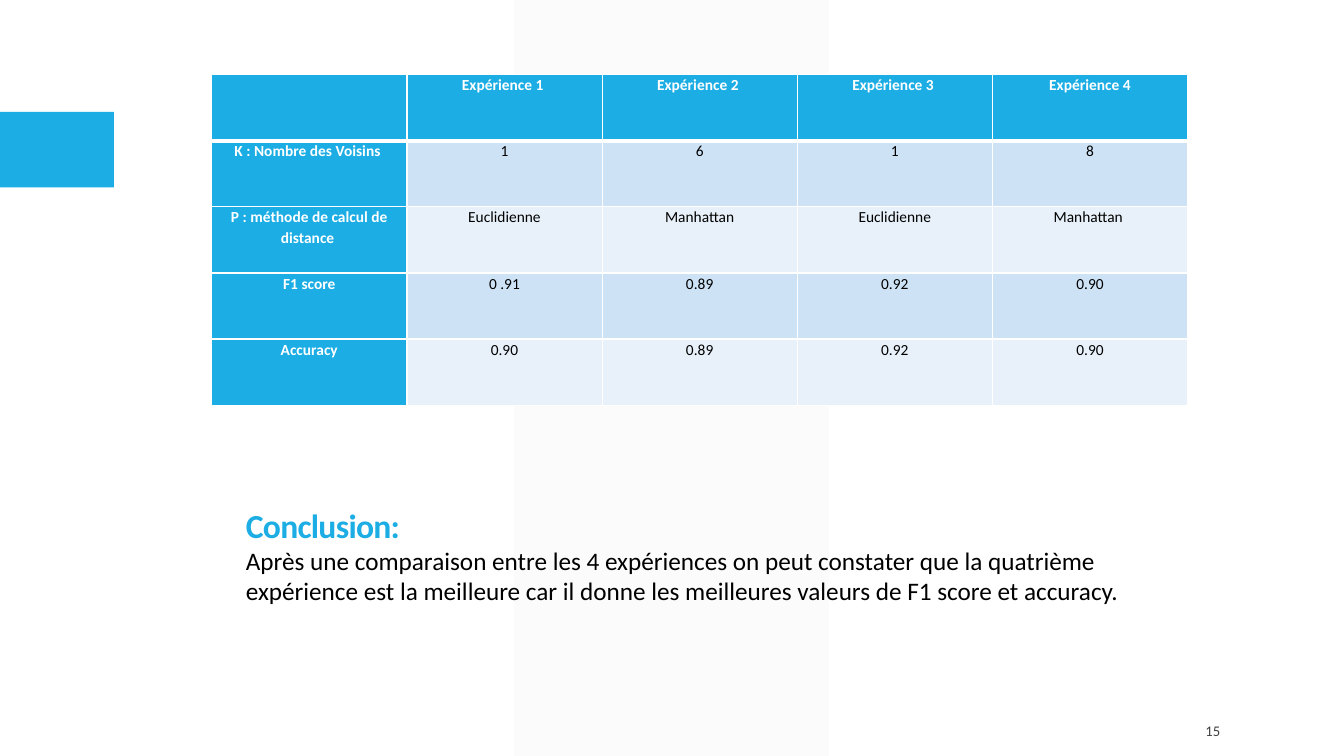
from lxml import etree
from pptx import Presentation
from pptx.dml.color import RGBColor
from pptx.enum import shapes, text
from pptx.oxml import ns
from pptx.util import Inches, Pt

BLUE = RGBColor(0x1C, 0xAD, 0xE4)
PALE = RGBColor(0xF2, 0xF2, 0xF2)
DARK_BAND = RGBColor(0xCD, 0xE3, 0xF5)
LIGHT_BAND = RGBColor(0xE8, 0xF1, 0xFA)
GREY = RGBColor(0x40, 0x40, 0x40)
WHITE = RGBColor(0xFF, 0xFF, 0xFF)
BLACK = RGBColor(0, 0, 0)

RESULTS = [
    ["", "Expérience 1 ", "Expérience 2 ", "Expérience 3 ", "Expérience 4"],
    ["K : Nombre des Voisins ", "1", "6", "1", "8"],
    ["P : méthode de calcul de distance ", "Euclidienne", "Manhattan", "Euclidienne", "Manhattan "],
    ["F1 score", "0 .91", "0.89", "0.92", "0.90"],
    ["Accuracy", "0.90", "0.89", "0.92", "0.90"],
]


def write(paragraph, words, *, size, color=BLACK, bold=False,
          align=text.PP_ALIGN.LEFT, line_spacing=None, tracking=0):
    paragraph.alignment = align
    paragraph.line_spacing = line_spacing
    run = paragraph.add_run()
    run.text = words
    run.font.name = "Calibri"
    run.font.size = Pt(size)
    run.font.bold = bold
    run.font.color.rgb = color
    if tracking:
        run.font._element.set("spc", str(int(tracking * 100)))


def add_block(slide, kind, left, top, width, height, color, opacity=100):
    block = slide.shapes.add_shape(kind, Inches(left), Inches(top), Inches(width), Inches(height))
    block.shadow.inherit = False
    block.fill.solid()
    block.fill.fore_color.rgb = color
    block.line.fill.background()
    if opacity < 100:
        tint = block.fill._xPr.find(".//" + ns.qn("a:srgbClr"))
        etree.SubElement(tint, ns.qn("a:alpha"), val=str(opacity * 1000))
    return block


def add_text_frame(slide, left, top, width, height):
    frame = slide.shapes.add_textbox(Inches(left), Inches(top), Inches(width), Inches(height)).text_frame
    frame.word_wrap = True
    return frame


def set_borders(cell, **widths):
    properties = cell._tc.get_or_add_tcPr()
    for side, width in widths.items():
        border = etree.SubElement(properties, ns.qn("a:ln" + side), w=str(Pt(width)))
        fill = etree.SubElement(border, ns.qn("a:solidFill"))
        etree.SubElement(fill, ns.qn("a:srgbClr"), val=str(WHITE))


def fill_cell(cell, words, row, column):
    heading = row == 0 or column == 0
    cell.margin_left = cell.margin_right = Inches(0.07)
    cell.margin_top = cell.margin_bottom = 0
    set_borders(cell, L=1, R=1, T=3 if row == 1 else 1, B=3 if row == 0 else 1)
    cell.fill.solid()
    cell.fill.fore_color.rgb = BLUE if heading else DARK_BAND if row % 2 else LIGHT_BAND
    if words:
        write(cell.text_frame.paragraphs[0], words, size=11, bold=heading,
              color=WHITE if heading else BLACK,
              align=text.PP_ALIGN.CENTER, line_spacing=1.07)


def add_results(slide):
    results = slide.shapes.add_table(len(RESULTS), len(RESULTS[0]), Inches(2.1), Inches(0.74),
                                     Inches(9.68), Inches(3.28)).table
    for row, values in enumerate(RESULTS):
        for column, words in enumerate(values):
            fill_cell(results.cell(row, column), words, row, column)


def add_conclusion(slide):
    conclusion = add_text_frame(slide, 2.34, 4.96, 9.18, 1.11)
    write(conclusion.paragraphs[0], "Conclusion:", size=24, color=BLUE, bold=True, tracking=-0.5)
    write(conclusion.add_paragraph(),
          "Après une comparaison entre les 4 expériences on peut constater que la quatrième "
          "expérience est la meilleure car il donne les meilleures valeurs de F1 score et accuracy.",
          size=18)


def add_page_number(slide):
    page_number = add_text_frame(slide, 11.35, 7.05, 0.85, 0.4)
    page_number.vertical_anchor = text.MSO_ANCHOR.MIDDLE
    write(page_number.paragraphs[0], "15", size=10.5, color=GREY, align=text.PP_ALIGN.RIGHT)


def main():
    deck = Presentation()
    deck.slide_width, deck.slide_height = Inches(13.33), Inches(7.5)
    slide = deck.slides.add_slide(deck.slide_layouts[6])
    stripe = add_block(slide, shapes.MSO_SHAPE.PARALLELOGRAM, 5.1, 0, 3.12, 7.5, PALE, opacity=30)
    stripe.adjustments[0] = 0
    add_block(slide, shapes.MSO_SHAPE.RECTANGLE, 0, 1.11, 1.13, 0.75, BLUE)
    add_page_number(slide)
    add_results(slide)
    add_conclusion(slide)
    deck.save("out.pptx")


if __name__ == "__main__":
    main()
